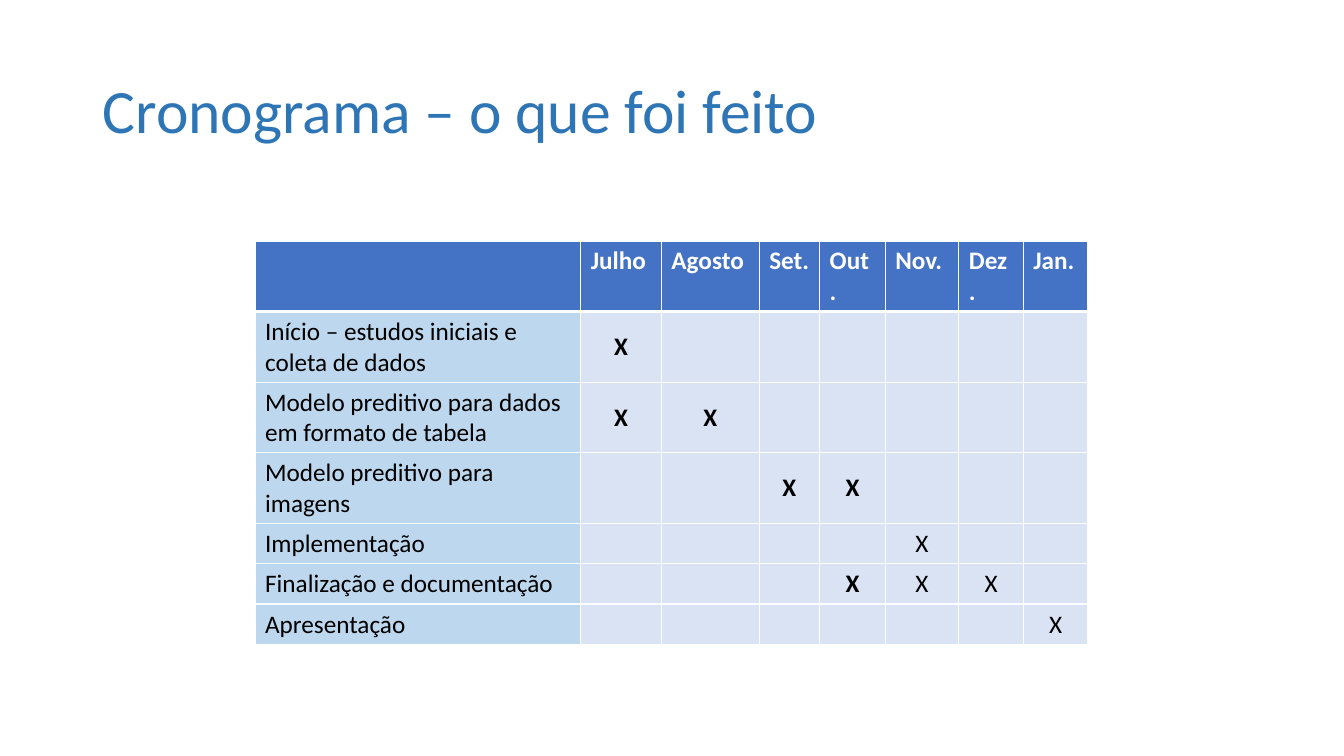
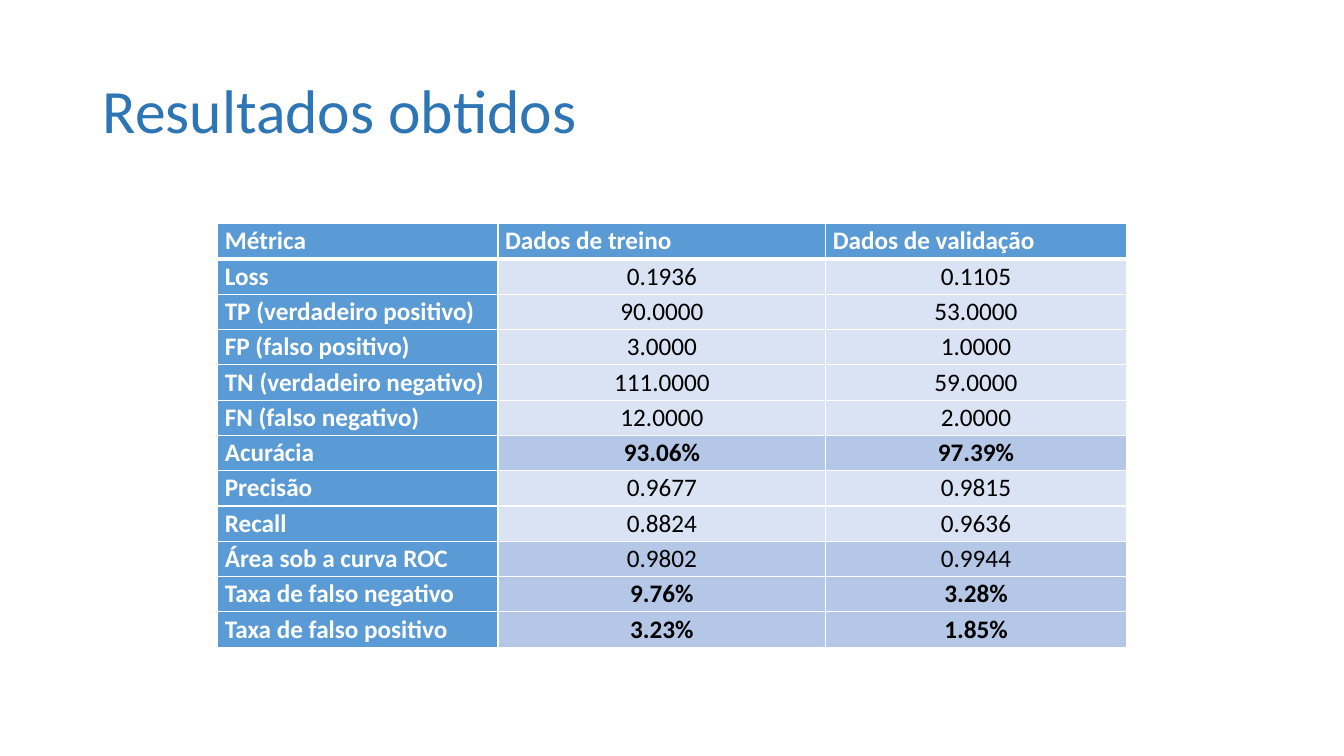
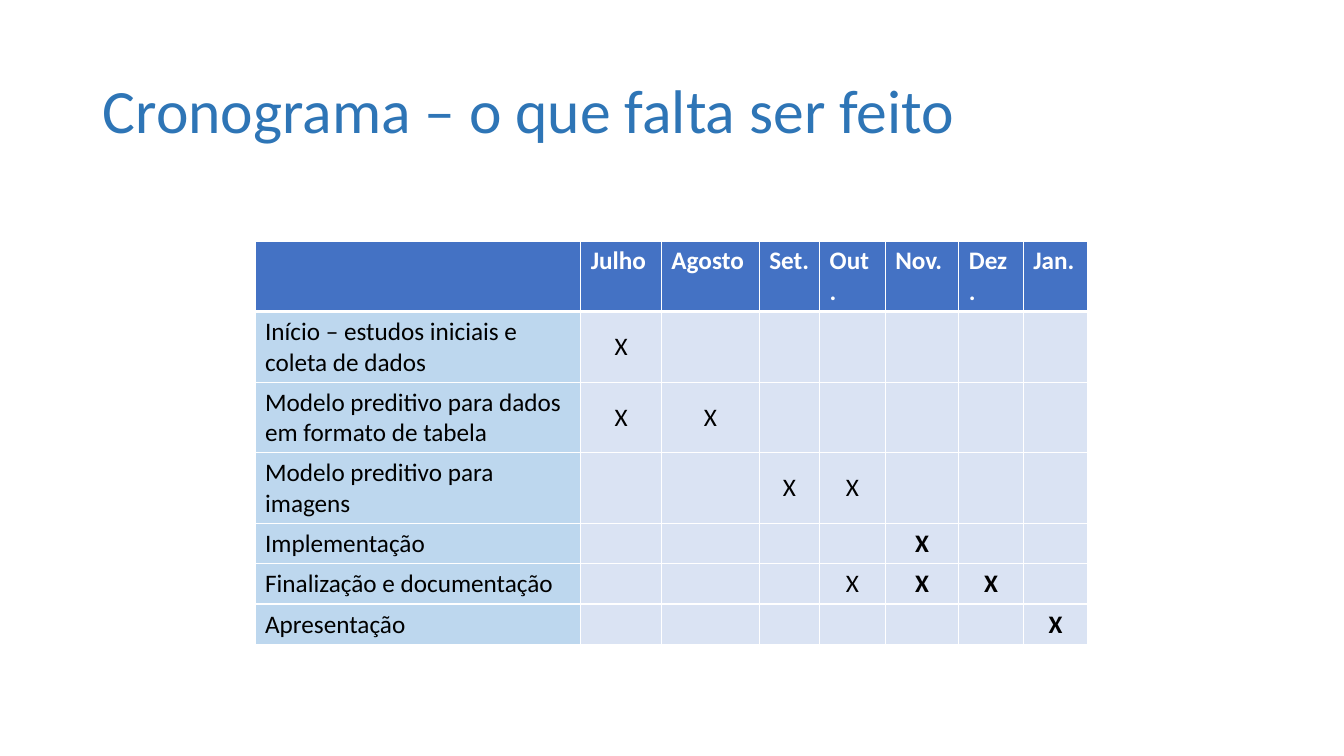
from lxml.etree import SubElement
from pptx import Presentation
from pptx.dml.color import RGBColor
from pptx.enum.text import MSO_ANCHOR as Anchor, PP_ALIGN as Align
from pptx.oxml.ns import qn
from pptx.util import Inches, Pt

COLORS = {
    "title": "2E75B6", "white": "FFFFFF", "black": "000000",
    "schedule_header": "4472C4", "task": "BDD7EE",
    "metric": "5B9BD5", "value": "DAE3F3", "highlight": "B4C7E7",
}
FONT = "Calibri"

MONTHS = ["Julho", "Agosto", "Set.", "Out.", "Nov.", "Dez.", "Jan."]
# Each task: name, row height, and its months marked as done or not
TASKS = [
    ("Início – estudos iniciais e coleta de dados", 0.7, {"Julho": True}),
    ("Modelo preditivo para dados em formato de tabela", 0.7, {"Julho": True, "Agosto": True}),
    ("Modelo preditivo para imagens", 0.7, {"Set.": True, "Out.": True}),
    ("Implementação", 0.4, {"Nov.": False}),
    ("Finalização e documentação", 0.4, {"Out.": True, "Nov.": False, "Dez.": False}),
    ("Apresentação", 0.4, {"Jan.": False}),
]
METRICS = [
    ("Loss", "0.1936", "0.1105"),
    ("TP (verdadeiro positivo)", "90.0000", "53.0000"),
    ("FP (falso positivo)", "3.0000", "1.0000"),
    ("TN (verdadeiro negativo)", "111.0000", "59.0000"),
    ("FN (falso negativo)", "12.0000", "2.0000"),
    ("Acurácia", "93.06%", "97.39%"),
    ("Precisão", "0.9677", "0.9815"),
    ("Recall", "0.8824", "0.9636"),
    ("Área sob a curva ROC", "0.9802", "0.9944"),
    ("Taxa de falso negativo", "9.76%", "3.28%"),
    ("Taxa de falso positivo", "3.23%", "1.85%"),
]


def write_text(frame, text, size=18, color="black", bold=False, align=Align.LEFT, spacing=1.0):
    para = frame.paragraphs[0]
    para.alignment = align
    para.line_spacing = spacing
    span = para.add_run()
    span.text = text
    span.font.name = FONT
    span.font.size = Pt(size)
    span.font.bold = bold
    span.font.color.rgb = RGBColor.from_string(COLORS[color])


def style_cell(cell, fill, top, bottom):
    """Fill a cell and give it white borders, with top and bottom widths in points."""
    properties = cell._tc.get_or_add_tcPr()
    for side, width in (("L", 1), ("R", 1), ("T", top), ("B", bottom)):
        line = SubElement(properties, qn(f"a:ln{side}"), w=str(Pt(width)))
        line_fill = SubElement(line, qn("a:solidFill"))
        SubElement(line_fill, qn("a:srgbClr"), val=COLORS["white"])
    cell.fill.solid()
    cell.fill.fore_color.rgb = RGBColor.from_string(COLORS[fill])


# Table cells are (text, fill, text format)
header = {"color": "white", "bold": True}
schedules = {}
for bold_done in (True, False):
    rows = [[(month, "schedule_header", header) for month in ["", *MONTHS]]]
    for task, _, marks in TASKS:
        row = [(task, "task", {})]
        for month in MONTHS:
            mark = "X" if month in marks else ""
            row.append((mark, "value", {"bold": marks.get(month) == bold_done, "align": Align.CENTER}))
        rows.append(row)
    schedules[bold_done] = rows

metric_header = {**header, "spacing": 1.07}
results = [[(label, "metric", metric_header)
            for label in ("Métrica", "Dados de treino", "Dados de validação")]]
for metric, *values in METRICS:
    is_rate = values[0].endswith("%")
    fill = "highlight" if is_rate or "ROC" in metric else "value"
    value_format = {"bold": is_rate, "align": Align.CENTER, "spacing": 1.07}
    results.append([(metric, "metric", metric_header)] + [(value, fill, value_format) for value in values])

schedule_layout = {
    "left": 2.53, "top": 2.39, "margins": (0.1, 0.05),
    "widths": [3.23, 0.8, 0.97, 0.6, 0.65, 0.73, 0.64, 0.64],
    "heights": [0.7] + [height for _, height, _ in TASKS],
}
results_layout = {
    "left": 2.16, "top": 2.22, "margins": (0.07, 0),
    "widths": [2.78, 3.25, 2.98],
    "heights": [0.35] * len(results),
}
PAGES = [
    ("Cronograma – o que foi feito", schedules[True], schedule_layout),
    ("Resultados obtidos", results, results_layout),
    ("Cronograma – o que falta ser feito", schedules[False], schedule_layout),
]

deck = Presentation()
deck.slide_width, deck.slide_height = Inches(13.33), Inches(7.5)

for title, rows, layout in PAGES:
    page = deck.slides.add_slide(deck.slide_layouts[6])
    box = page.shapes.add_textbox(Inches(0.92), Inches(0.4), Inches(11.5), Inches(1.45))
    box.text_frame.word_wrap = True
    box.text_frame.vertical_anchor = Anchor.MIDDLE
    write_text(box.text_frame, title, size=44, color="title", spacing=0.9)

    widths, heights = layout["widths"], layout["heights"]
    table = page.shapes.add_table(
        len(rows), len(widths), Inches(layout["left"]), Inches(layout["top"]),
        Inches(sum(widths)), Inches(sum(heights))).table
    table.horz_banding = False
    for column, width in zip(table.columns, widths):
        column.width = Inches(width)
    for table_row, height in zip(table.rows, heights):
        table_row.height = Inches(height)

    side_margin, end_margin = layout["margins"]
    for row_index, row in enumerate(rows):
        for column_index, (text, fill, text_format) in enumerate(row):
            cell = table.cell(row_index, column_index)
            style_cell(cell, fill, top=3 if row_index == 1 else 1, bottom=3 if row_index == 0 else 1)
            cell.margin_left = cell.margin_right = Inches(side_margin)
            cell.margin_top = cell.margin_bottom = Inches(end_margin)
            if text == "X":
                cell.vertical_anchor = Anchor.MIDDLE
            if text:
                write_text(cell.text_frame, text, **text_format)

deck.save("out.pptx")
